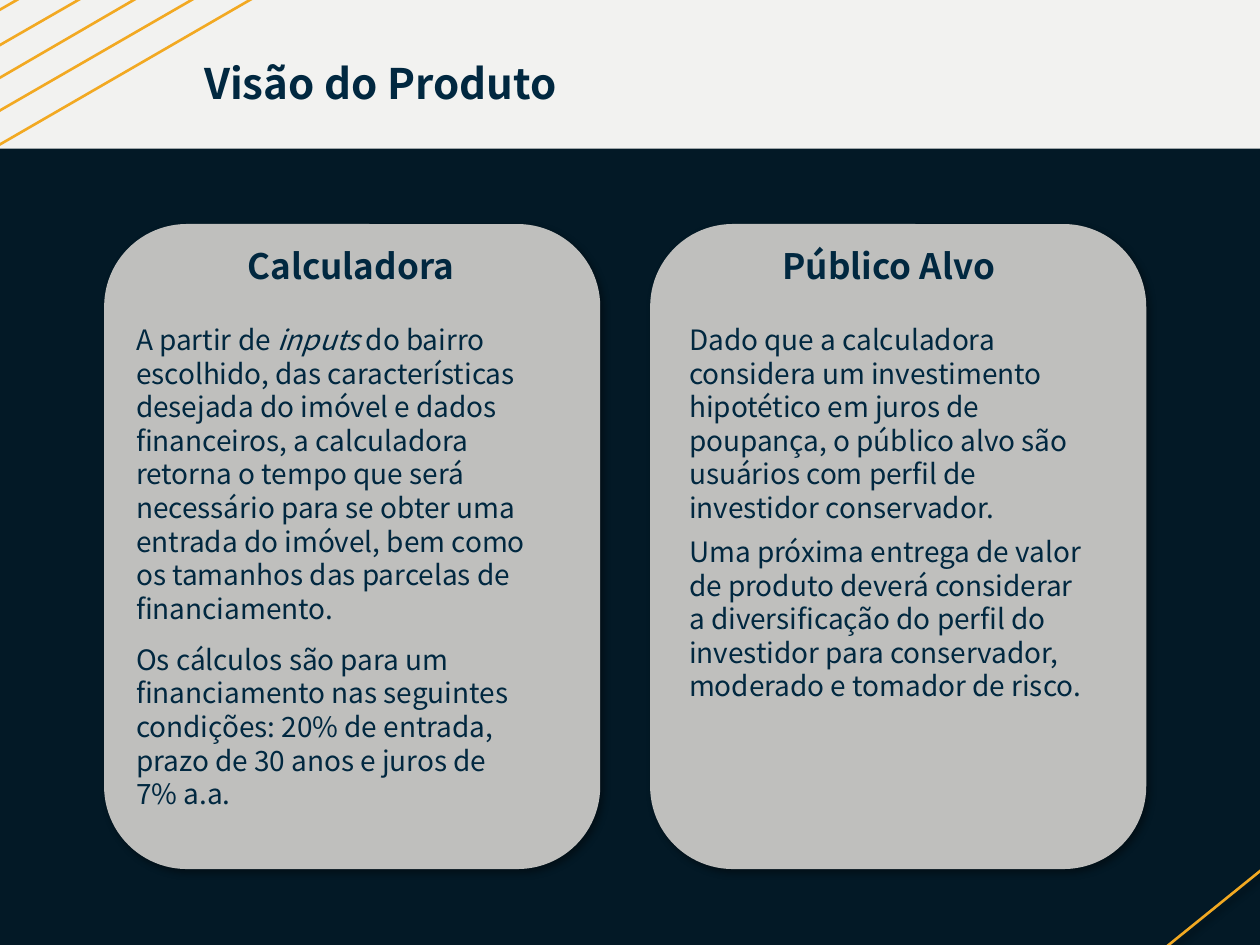
from dataclasses import dataclass

from lxml.etree import SubElement
from pptx import Presentation
from pptx.dml.color import RGBColor
from pptx.enum.shapes import MSO_CONNECTOR, MSO_SHAPE
from pptx.enum.text import MSO_ANCHOR, MSO_AUTO_SIZE, PP_ALIGN
from pptx.oxml.ns import qn
from pptx.util import Pt

FONT = "Noto Sans CJK KR"
NAVY = "012840"
GOLD = "F2A922"
BODY_TOP = 180.7


@dataclass
class Run:
    text: str
    italic: bool = False


@dataclass
class TextStyle:
    size: float
    bold: bool = False
    align: PP_ALIGN = PP_ALIGN.LEFT
    space_after: float = 0


@dataclass
class Box:
    left: float
    top: float
    width: float
    height: float


@dataclass
class Stripe:
    start_x: float
    start_y: float
    end_x: float
    end_y: float
    shadow: bool = False


@dataclass
class Card:
    left: float
    heading: str
    heading_left: float
    heading_index: int
    body_left: float
    body_height: float
    body_index: int
    space_after: float
    paragraphs: list[list[Run]]


STRIPES = [
    Stripe(83.5, -22.3, -36.7, 46.8),
    Stripe(95, -10.8, -25.2, 59),
    Stripe(119.5, -5.8, -13, 70.6),
    Stripe(149, -3.6, -2.9, 84.2),
    Stripe(107.3, -56.2, -13, 13),
    Stripe(730.1, 489.6, 632.2, 568.8, shadow=True),
]

CARDS = [
    Card(59.5, "Calculadora", 75.6, 1, 70.6, 288.7, 2, 10, [
        [
            Run("A partir de "),
            Run("inputs", italic=True),
            Run(" do bairro escolhido, das características desejada do imóvel "
                "e dados financeiros, a calculadora retorna o tempo que será "
                "necessário para se obter uma entrada do imóvel, bem como os "
                "tamanhos das parcelas de financiamento."),
        ],
        [Run("Os cálculos são para um financiamento nas seguintes condições: "
             "20% de entrada, prazo de 30 anos e juros de 7% a.a.")],
    ]),
    Card(371.5, "Público Alvo", 383, 3, 386.6, 226.8, 4, 6, [
        [Run("Dado que a calculadora considera um investimento hipotético em "
             "juros de poupança, o público alvo são usuários com perfil de "
             "investidor conservador.")],
        [Run("Uma próxima entrega de valor de produto deverá considerar a "
             "diversificação do perfil do investidor para conservador, "
             "moderado e tomador de risco.")],
    ]),
]


def color(value: str) -> RGBColor:
    return RGBColor.from_string(value)


def set_shadow(shape, visible: bool) -> None:
    properties = shape.element.spPr
    effects = properties.find(qn("a:effectLst"))
    if effects is None:
        effects = SubElement(properties, qn("a:effectLst"))
    if visible:
        shadow = SubElement(effects, qn("a:outerShdw"), blurRad=str(Pt(4)),
                            dist=str(Pt(3)), dir="2700000", algn="tl",
                            rotWithShape="0")
        black = SubElement(shadow, qn("a:srgbClr"), val="000000")
        SubElement(black, qn("a:alpha"), val="40000")


def add_panel(slide, kind: MSO_SHAPE, box: Box, fill: str, shadow: bool) -> None:
    shape = slide.shapes.add_shape(kind, Pt(box.left), Pt(box.top),
                                   Pt(box.width), Pt(box.height))
    shape.fill.solid()
    shape.fill.fore_color.rgb = color(fill)
    shape.line.fill.background()
    shape.shadow.inherit = False
    set_shadow(shape, shadow)


def add_stripe(slide, stripe: Stripe) -> None:
    connector = slide.shapes.add_connector(
        MSO_CONNECTOR.STRAIGHT, Pt(stripe.start_x), Pt(stripe.start_y),
        Pt(stripe.end_x), Pt(stripe.end_y))
    connector.line.color.rgb = color(GOLD)
    connector.line.width = Pt(1.5)
    set_shadow(connector, stripe.shadow)


def fill_placeholder(shape, box: Box, paragraphs: list[list[Run]],
                     style: TextStyle) -> None:
    shape.left, shape.top = Pt(box.left), Pt(box.top)
    shape.width, shape.height = Pt(box.width), Pt(box.height)
    shape.element.getparent().append(shape.element)
    frame = shape.text_frame
    frame.word_wrap = True
    frame.auto_size = MSO_AUTO_SIZE.NONE
    frame.vertical_anchor = MSO_ANCHOR.TOP
    for index, runs in enumerate(paragraphs):
        paragraph = frame.add_paragraph() if index else frame.paragraphs[0]
        paragraph.alignment = style.align
        paragraph.line_spacing = Pt(style.size * 1.2)
        paragraph.space_before = Pt(0)
        paragraph.space_after = Pt(style.space_after)
        properties = paragraph._p.get_or_add_pPr()
        properties.set("marL", "0")
        properties.set("indent", "0")
        SubElement(properties, qn("a:buNone"))
        for item in runs:
            run = paragraph.add_run()
            run.text = item.text
            run.font.name = FONT
            run.font.size = Pt(style.size)
            run.font.bold = style.bold
            run.font.italic = item.italic
            run.font.color.rgb = color(NAVY)


def add_card(slide, card: Card) -> None:
    add_panel(slide, MSO_SHAPE.ROUNDED_RECTANGLE,
              Box(card.left, 128, 283.5, 368.6), "BFBFBD", True)
    fill_placeholder(slide.placeholders[card.body_index],
                     Box(card.body_left, BODY_TOP, 241.2, card.body_height),
                     card.paragraphs, TextStyle(16, space_after=card.space_after))
    fill_placeholder(slide.placeholders[card.heading_index],
                     Box(card.heading_left, 136.1, 249.8, 31.7),
                     [[Run(card.heading)]],
                     TextStyle(20, bold=True, align=PP_ALIGN.CENTER))


def main() -> None:
    presentation = Presentation()
    presentation.slide_width, presentation.slide_height = Pt(720), Pt(540)
    slide = presentation.slides.add_slide(presentation.slide_layouts[4])
    slide.background.fill.solid()
    slide.background.fill.fore_color.rgb = color("031926")
    add_panel(slide, MSO_SHAPE.RECTANGLE, Box(0, 0, 720, 85), "F2F2F0", False)
    for stripe in STRIPES:
        add_stripe(slide, stripe)
    fill_placeholder(slide.shapes.title, Box(109.4, 29.5, 249.8, 36),
                     [[Run("Visão do Produto")]], TextStyle(24, bold=True))
    for card in CARDS:
        add_card(slide, card)
    presentation.save("out.pptx")


if __name__ == "__main__":
    main()
